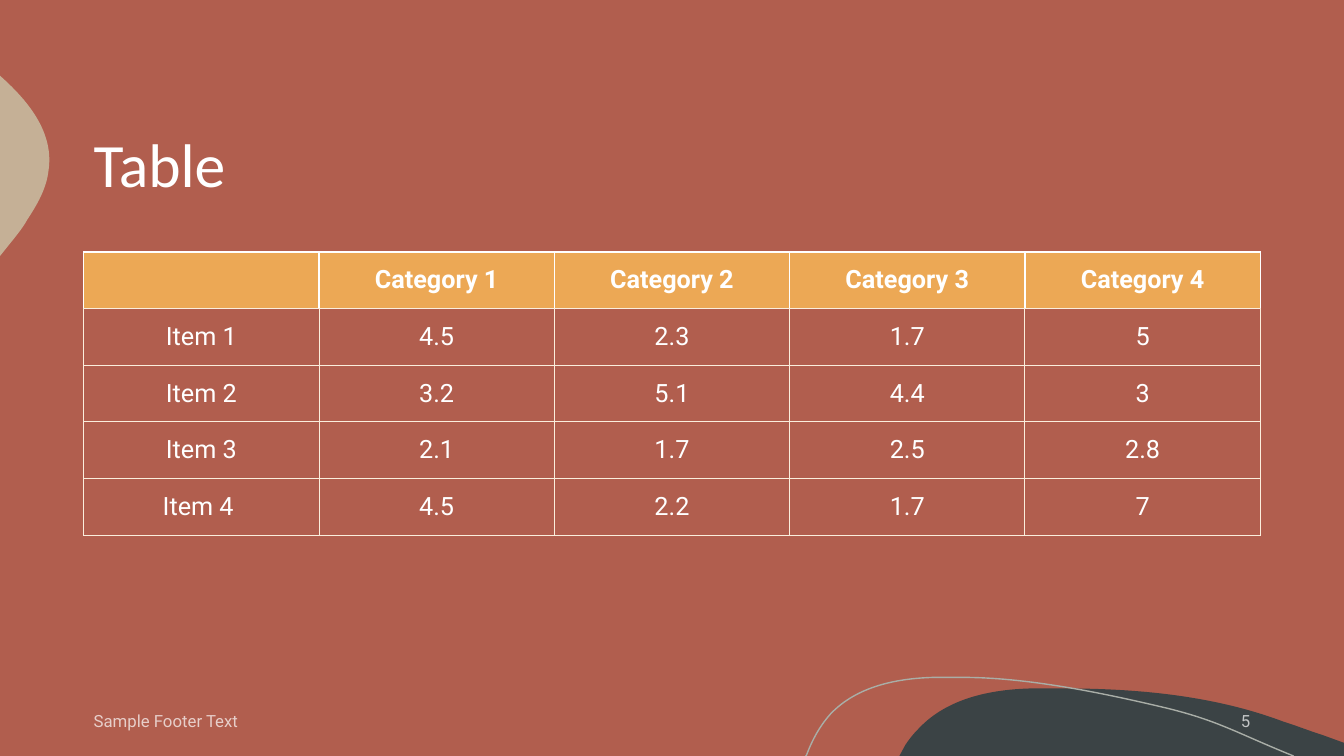
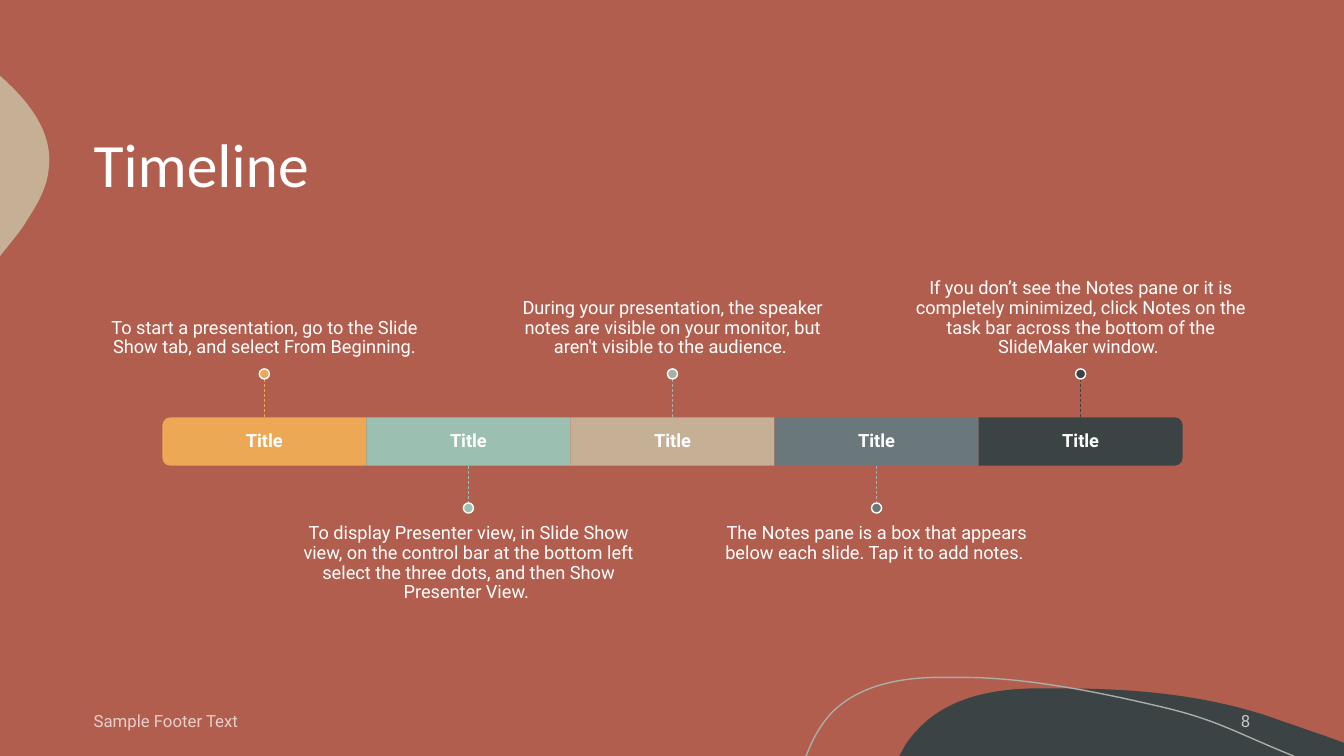
from lxml.etree import SubElement as sub
from pptx import Presentation
from pptx.dml.color import RGBColor as Rgb
from pptx.enum.dml import MSO_LINE as Dash
from pptx.enum.shapes import MSO_CONNECTOR as Link, MSO_SHAPE as Kind
from pptx.enum.text import MSO_ANCHOR as Anchor, PP_ALIGN as Align
from pptx.oxml.ns import qn
from pptx.util import Pt

PX = 9144
WHITE, CREAM, BRICK = "FFFFFF", "FBEEDD", "B15E4E"
GOLD, MINT, SAND, STEEL, SLATE, ASH = (
    "ECA855", "9BBFB0", "C5B096", "6A787C", "3B4345", "A9AEA7")

HILL = [(1054, 683), (1128, 683, 1204, 690, 1273, 716),
        (1286, 720, 1298, 725, 1311, 729), (1333, 737), (1333, 750),
        (892, 750), (898, 739), (902, 733, 906, 728, 911, 723),
        (939, 693, 982, 684, 1023, 683), (1033, 683, 1043, 683, 1054, 683)]
PEBBLE = [(0, 75), (1, 76), (30, 102, 54, 133, 48, 170),
          (46, 187, 37, 203, 27, 218), (24, 224, 17, 233, 8, 244), (0, 254)]
WAVE = [(799, 750), (800, 749), (806, 733, 814, 719, 824, 708),
        (850, 681, 889, 673, 926, 672), (955, 672),
        (1022, 672, 1100, 689, 1155, 702), (1209, 715, 1226, 727, 1283, 750)]

GRID = [
    ["", "Category 1", "Category 2", "Category 3", "Category 4"],
    ["Item 1", "4.5", "2.3", "1.7", "5"],
    ["Item 2", "3.2", "5.1", "4.4", "3"],
    ["Item 3", "2.1", "1.7", "2.5", "2.8"],
    ["Item 4 ", "4.5", "2.2", "1.7", "7"],
]
STEPS = [
    (GOLD, GOLD, GOLD, "To start a presentation, go to the Slide Show tab, "
     "and select From Beginning."),
    (MINT, MINT, MINT, "To display Presenter view, in Slide Show view, on the "
     "control bar at the bottom left select the three dots, and then Show "
     "Presenter View. "),
    (SAND, ASH, ASH, "During your presentation, the speaker notes are visible "
     "on your monitor, but aren't visible to the audience. "),
    (STEEL, ASH, STEEL, "The Notes pane is a box that appears below each "
     "slide. Tap it to add notes. "),
    (SLATE, SLATE, SLATE, "If you don’t see the Notes pane or it is completely "
     "minimized, click Notes on the task bar across the bottom of the "
     "SlideMaker window. "),
]


def px(*nums):
    return [round(n * PX) for n in nums]


def tint(code):
    return Rgb.from_string(code)


class Deck:
    """Holds the shared style and the slide being drawn."""

    def __init__(self):
        self.prs = Presentation()
        self.prs.slide_width, self.prs.slide_height = px(1333, 750)
        back = self.prs.slide_master.background.fill
        back.solid()
        back.fore_color.rgb = tint(BRICK)

    def page(self, title, num):
        self.slide = self.prs.slides.add_slide(self.prs.slide_layouts[6])
        self.shapes = self.slide.shapes
        self.curve(HILL, fill=SLATE)
        self.curve(PEBBLE, fill=SAND)
        self.curve(WAVE, line=ASH)
        self.text(title, 83, 83, 1167, 167, size=44, face="Calibri", lead=0.9)
        self.text("Sample Footer Text", 83, 695, 723, 40, size=12, alpha=70)
        self.text(str(num), 1083, 695, 167, 40, size=12, alpha=70,
                  align=Align.RIGHT)

    def paint(self, shape, fill, line):
        shape.shadow.inherit = False
        if fill:
            shape.fill.solid()
            shape.fill.fore_color.rgb = tint(fill)
        else:
            shape.fill.background()
        if line:
            shape.line.color.rgb = tint(line)
            shape.line.width = Pt(1)
        else:
            shape.line.fill.background()

    def curve(self, segs, fill=None, line=None):
        first, *rest = [px(*seg[-2:]) for seg in segs]
        pen = self.shapes.build_freeform(*first)
        pen.add_line_segments(rest, close=bool(fill))
        shape = pen.convert_to_shape()
        self.paint(shape, fill, line)
        edges = list(shape._element.spPr.iter(qn("a:lnTo")))
        for seg, edge in zip(segs[1:], edges):
            if len(seg) == 6:
                edge.tag = qn("a:cubicBezTo")
                edge.remove(edge[0])
                nums = px(*seg)
                for x, y in zip(nums[::2], nums[1::2]):
                    sub(edge, qn("a:pt"), x=str(x - shape.left),
                        y=str(y - shape.top))

    def shape(self, kind, x, y, w, h, fill, line=None, turn=0):
        shape = self.shapes.add_shape(kind, *px(x, y, w, h))
        shape.rotation = turn
        self.paint(shape, fill, line)

    def style(self, par, size, bold=False, face="Roboto", align=Align.LEFT):
        par.alignment = align
        font = par.font
        font.name, font.size, font.bold = face, Pt(size), bold
        font.color.rgb = tint(WHITE)

    def text(self, words, x, y, w, h, size, bold=False, face="Roboto",
             align=Align.LEFT, anchor=Anchor.MIDDLE, lead=None, alpha=None,
             pad=None):
        frame = self.shapes.add_textbox(*px(x, y, w, h)).text_frame
        frame.word_wrap = True
        frame.vertical_anchor = anchor
        if pad:
            (frame.margin_left, frame.margin_top,
             frame.margin_right, frame.margin_bottom) = px(*pad)
        par = frame.paragraphs[0]
        par.text = words
        self.style(par, size, bold, face, align)
        if lead:
            par.line_spacing = lead
        if alpha:
            for node in par._p.iter(qn("a:srgbClr")):
                sub(node, qn("a:alpha"), val=str(alpha * 1000))

    def stem(self, x, top, end, color):
        line = self.shapes.add_connector(Link.STRAIGHT, *px(x, top, x, end))
        line.line.color.rgb = tint(color)
        line.line.width = Pt(0.5)
        line.line.dash_style = Dash.DASH
        sub(line._element.spPr, qn("a:effectLst"))

    def edge(self, cell, side, color, width):
        line = sub(cell._tc.get_or_add_tcPr(), qn("a:ln" + side),
                   w=str(Pt(width)))
        sub(sub(line, qn("a:solidFill")), qn("a:srgbClr"), val=color)

    def table(self, rows, x, y, w, h):
        table = self.shapes.add_table(
            len(rows), len(rows[0]), *px(x, y, w, h)).table
        table.first_row = table.horz_banding = False
        for r, row in enumerate(rows):
            for c, words in enumerate(row):
                cell = table.cell(r, c)
                for side in "LRTB":
                    strong = r == 0 and side != "B"
                    self.edge(cell, side, WHITE if strong else CREAM,
                              1 if strong else 0.75)
                if r == 0:
                    cell.fill.solid()
                    cell.fill.fore_color.rgb = tint(GOLD)
                else:
                    cell.fill.background()
                cell.vertical_anchor = Anchor.MIDDLE
                par = cell.text_frame.paragraphs[0]
                par.text = words
                self.style(par, 18, bold=r == 0, align=Align.CENTER)

    def step(self, i, count, bar, stem, dot, words):
        wide, high, top = 1012 / count, 48, 414
        x, end = 161 + i * wide, top + high
        mid = x + wide / 2
        if i in (0, count - 1):
            self.shape(Kind.ROUND_2_SAME_RECTANGLE, mid - high / 2,
                       top + (high - wide) / 2, high, wide, bar,
                       turn=90 if i else 270)
        else:
            self.shape(Kind.RECTANGLE, x, top, wide, high, bar)
        self.text("Title", x, top, wide, high, size=13, bold=True, lead=0.9,
                  align=Align.CENTER, pad=(11, 11, 11, 11))
        if i % 2:
            start, stop, spot, note = end, end + 37, end + 37, end + 47
            anchor, pad = Anchor.TOP, (0, 11, 0, 0)
        else:
            start, stop, spot, note = top - 38, top, top - 48, top - 215
            anchor, pad = Anchor.BOTTOM, (0, 0, 0, 11)
        self.text(words, mid - 168.5, note, 337, 167, size=13, lead=0.9,
                  align=Align.CENTER, anchor=anchor, pad=pad)
        self.stem(mid, start, stop, stem)
        self.shape(Kind.OVAL, mid - 5, spot, 10, 10, dot, line=WHITE)


def main():
    deck = Deck()
    deck.page("Table", 5)
    deck.table(GRID, 83, 250, 1167, 281)
    deck.page("Timeline", 8)
    for i, step in enumerate(STEPS):
        deck.step(i, len(STEPS), *step)
    deck.prs.save("out.pptx")


if __name__ == "__main__":
    main()
